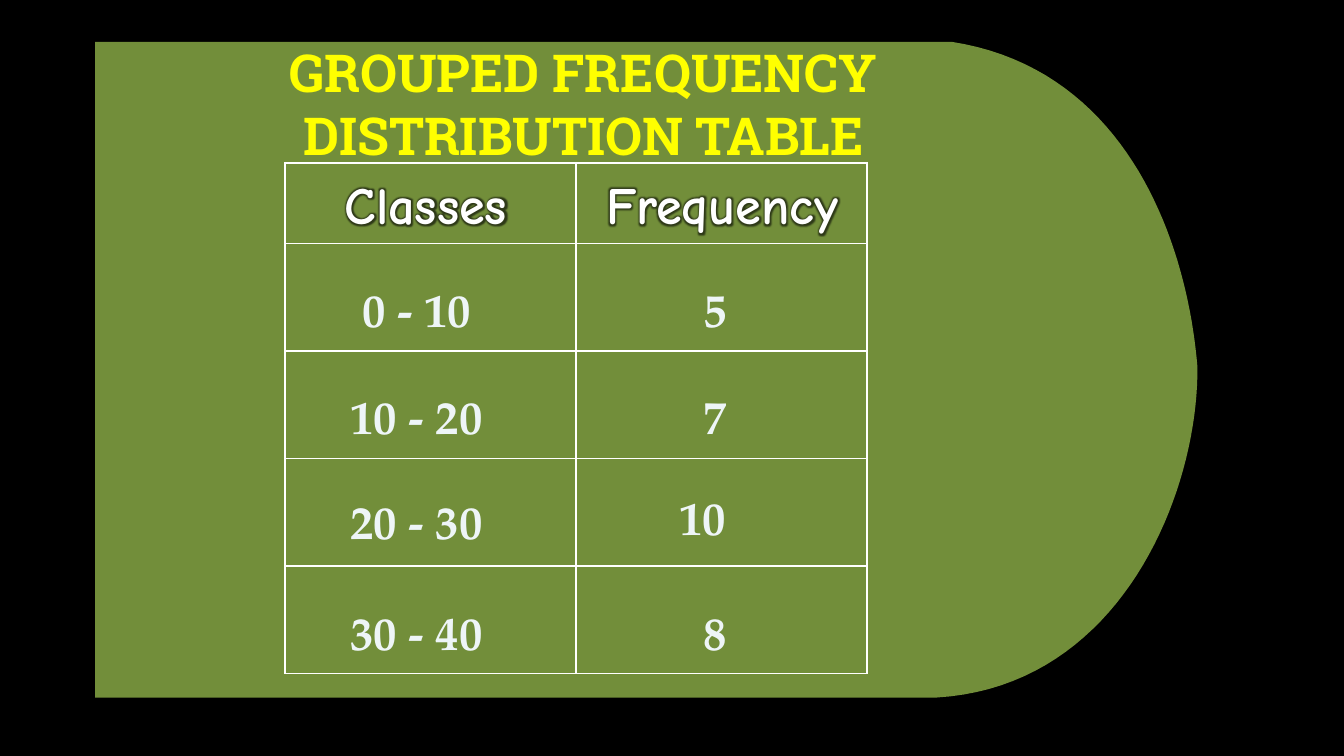
from dataclasses import dataclass

from lxml import etree
from pptx import Presentation
from pptx.dml.color import RGBColor
from pptx.enum import text
from pptx.util import Pt

COLOURS = {"background": "000000", "panel": "728E3A", "title": "FFFF00",
           "heading": "FFFFFF", "value": "EEF5F7", "border": "FFFFFF"}
NS = "http://schemas.openxmlformats.org/drawingml/2006/main"
OUTLINE = (f'<a:ln xmlns:a="{NS}" w="{Pt(0.9)}"><a:solidFill>'
           f'<a:srgbClr val="{COLOURS["title"]}"/></a:solidFill></a:ln>')
GLOW = (f'<a:effectLst xmlns:a="{NS}"><a:glow rad="{Pt(4)}"><a:srgbClr val="000000">'
        '<a:alpha val="60000"/></a:srgbClr></a:glow></a:effectLst>')


@dataclass(frozen=True)
class Style:
    font: str
    size: float
    colour: str
    centred: bool = True
    effect: str = ""


@dataclass(frozen=True)
class Label:
    wording: str
    left: float
    top: float
    width: float
    height: float
    style: Style


TITLE = Style("Roboto Slab", 28, "title", effect=OUTLINE)
HEADING = Style("Comic Neue", 28, "heading", effect=GLOW)
VALUE = Style("TeX Gyre Pagella", 25, "value", centred=False)


def rgb(name: str) -> RGBColor:
    return RGBColor.from_string(COLOURS[name])


def bezier(start, c1, c2, end, steps: int = 40) -> list:
    """Points along a cubic curve, without its start."""
    points = []
    for step in range(1, steps + 1):
        t = step / steps
        weights = ((1 - t) ** 3, 3 * t * (1 - t) ** 2, 3 * t * t * (1 - t), t ** 3)
        points.append(tuple(sum(w * p[axis] for w, p in zip(weights, (start, c1, c2, end)))
                            for axis in (0, 1)))
    return points


def draw_panel(slide) -> None:
    left, top, bottom = 51, 22.4, 373.7
    shoulder, tip, foot = (509.8, top), (641.5, 196.6), (501.8, bottom)
    outline = [shoulder,
               *bezier(shoulder, (606.2, 37.4), (636.5, 133.9), tip),
               *bezier(tip, (642.2, 262.8), (601.2, 367.9), foot),
               (left, bottom)]
    builder = slide.shapes.build_freeform(Pt(left), Pt(top))
    builder.add_line_segments([(Pt(x), Pt(y)) for x, y in outline], close=True)
    panel = builder.convert_to_shape()
    panel.shadow.inherit = False
    panel.fill.solid()
    panel.fill.fore_color.rgb = rgb("panel")
    panel.line.fill.background()


def draw_grid(slide, left: float, top: float, column: float, rows: list[float]) -> None:
    grid = slide.shapes.add_table(len(rows), 2, Pt(left), Pt(top),
                                  Pt(2 * column), Pt(sum(rows))).table
    grid.first_row = grid.horz_banding = False
    for grid_column in grid.columns:
        grid_column.width = Pt(column)
    for grid_row, height in zip(grid.rows, rows):
        grid_row.height = Pt(height)
    for cell in grid.iter_cells():
        properties = cell._tc.get_or_add_tcPr()
        for side in "LRTB":
            properties.append(etree.fromstring(
                f'<a:ln{side} xmlns:a="{NS}" w="{Pt(1)}"><a:solidFill>'
                f'<a:srgbClr val="{COLOURS["border"]}"/></a:solidFill></a:ln{side}>'))
        cell.fill.background()


def draw_label(slide, label: Label) -> None:
    frame = slide.shapes.add_textbox(Pt(label.left), Pt(label.top),
                                     Pt(label.width), Pt(label.height)).text_frame
    frame.word_wrap = label.style.centred
    frame.auto_size = text.MSO_AUTO_SIZE.SHAPE_TO_FIT_TEXT
    paragraph = frame.paragraphs[0]
    paragraph.alignment = text.PP_ALIGN.CENTER if label.style.centred else text.PP_ALIGN.LEFT
    run = paragraph.add_run()
    run.text = label.wording
    if label.style.effect:
        run._r.get_or_add_rPr().append(etree.fromstring(label.style.effect))
    font = paragraph.font
    font.name, font.size, font.bold = label.style.font, Pt(label.style.size), True
    font.color.rgb = rgb(label.style.colour)


def main() -> None:
    deck = Presentation()
    deck.slide_width, deck.slide_height = Pt(720), Pt(405)
    slide = deck.slides.add_slide(deck.slide_layouts[6])
    slide.background.fill.solid()
    slide.background.fill.fore_color.rgb = rgb("background")

    # Panel and title
    draw_panel(slide)
    draw_label(slide, Label("GROUPED FREQUENCY DISTRIBUTION TABLE",
                            45.4, 18, 534.2, 74.9, TITLE))

    # Table grid with its headings
    draw_grid(slide, 152.6, 87.2, 156, [43.2] + [57.6] * 4)
    draw_label(slide, Label("Classes", 159.1, 88.6, 138.2, 41, HEADING))
    draw_label(slide, Label("Frequency", 308.9, 88.6, 156.2, 41, HEADING))

    # Classes share a centre line, frequencies a right edge
    class_centre, frequency_right = 224.6, 397.1
    entries = [("0 - 10", 74.9, 146.9, "5", 27.4, 146.9),
               ("10 - 20", 87.8, 204.5, "7", 27.4, 204.5),
               ("20 - 30", 87.8, 260.6, "10", 40.3, 258.5),
               ("30 - 40", 87.8, 319.7, "8", 27.4, 319.7)]
    for interval, class_width, class_top, count, count_width, count_top in entries:
        draw_label(slide, Label(interval, class_centre - class_width / 2, class_top,
                                class_width, 37.4, VALUE))
        draw_label(slide, Label(count, frequency_right - count_width, count_top,
                                count_width, 37.4, VALUE))

    deck.save("out.pptx")


if __name__ == "__main__":
    main()
